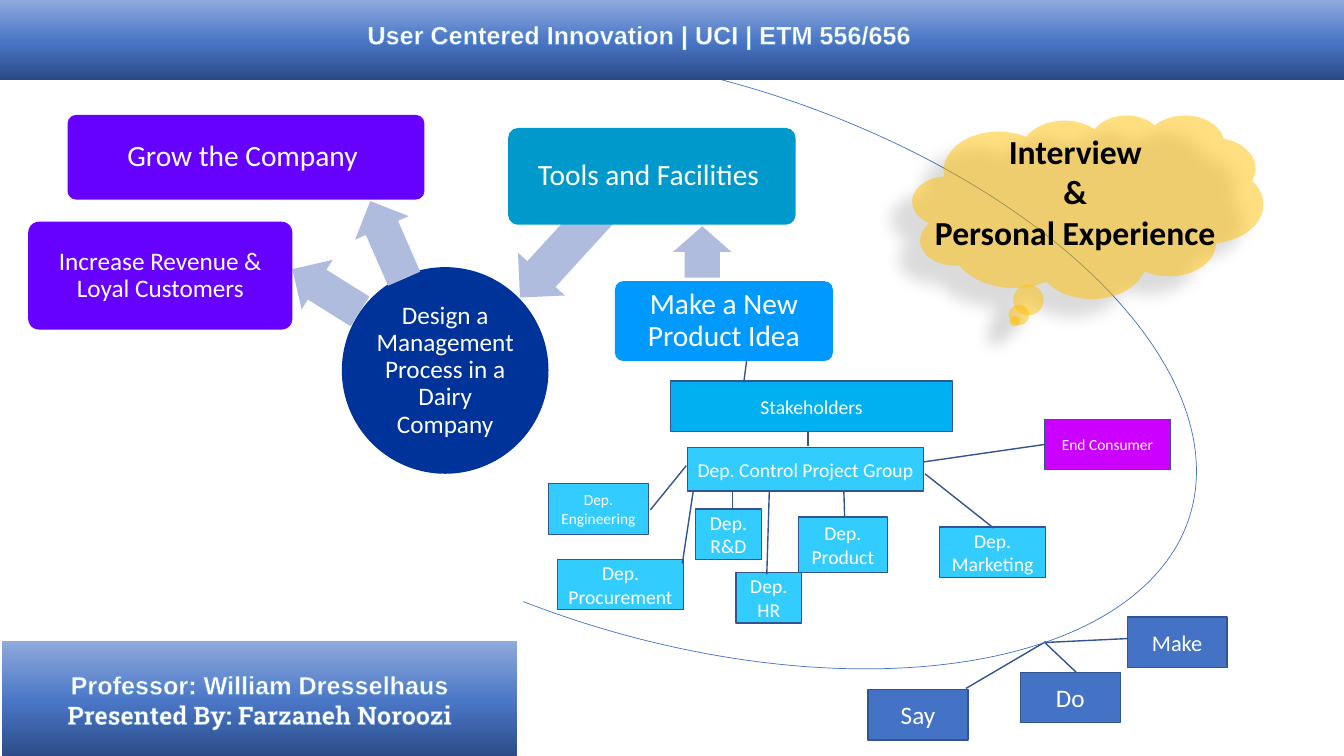
from lxml import etree
from pptx import Presentation
from pptx.dml.color import RGBColor
from pptx.enum.shapes import MSO_SHAPE
from pptx.enum.text import MSO_ANCHOR, MSO_AUTO_SIZE, PP_ALIGN
from pptx.oxml.ns import qn
from pptx.util import Inches, Pt

RECTANGLE, ROUNDED, OVAL = MSO_SHAPE.RECTANGLE, MSO_SHAPE.ROUNDED_RECTANGLE, MSO_SHAPE.OVAL
ARROW, CALLOUT = MSO_SHAPE.LEFT_ARROW, MSO_SHAPE.LINE_CALLOUT_1
ARC, CLOUD = MSO_SHAPE.ARC, MSO_SHAPE.CLOUD_CALLOUT
MIDDLE, TOP, CENTER = MSO_ANCHOR.MIDDLE, MSO_ANCHOR.TOP, PP_ALIGN.CENTER
NO_AUTOFIT = MSO_AUTO_SIZE.NONE

COLORS = {
    "white": "FFFFFF", "black": "000000", "navy": "003399", "violet": "6600FF",
    "arrow": "B0BCDE", "azure": "0099FF", "teal": "0099CC", "sky": "33CCFF",
    "stakeholder": "00B0F0", "blue": "4472C4", "magenta": "CC00FF", "edge": "325491",
    "amber": "FFC000", "outline": "5B9BD5",
}
BAND_STOPS = {0: "2A4B86", 48000: "4A76C6", 100000: "8FAADC"}

deck = Presentation()
deck.slide_width, deck.slide_height = Inches(13.33), Inches(7.5)
page = deck.slides.add_slide(deck.slide_layouts[5])
CELL = deck.slide_height / 75


def add_box(kind, area, fill=None, line=None, weight=1, adjust=(), turn=0):
    box = page.shapes.add_shape(kind, *(round(cells * CELL) for cells in area))
    box.shadow.inherit = False
    box.rotation = turn
    for index, value in enumerate(adjust):
        box.adjustments[index] = value
    if fill:
        box.fill.solid()
        box.fill.fore_color.rgb = RGBColor.from_string(COLORS[fill])
    else:
        box.fill.background()
    if line:
        box.line.color.rgb = RGBColor.from_string(COLORS[line])
        box.line.width = Pt(weight)
    else:
        box.line.fill.background()
    return box


def write(box, text, size, font="Calibri", color="white", bold=False, anchor=MIDDLE,
          spacing=None, inset=None, outline=None):
    frame = box.text_frame
    frame.word_wrap = True
    frame.auto_size = NO_AUTOFIT
    frame.vertical_anchor = anchor
    if inset is not None:
        frame.margin_left = frame.margin_right = Inches(inset)
        frame.margin_top = frame.margin_bottom = Inches(inset)
    for index, words in enumerate(text.split("\n")):
        para = frame.add_paragraph() if index else frame.paragraphs[0]
        para.alignment = CENTER
        para.line_spacing = spacing
        span = para.add_run()
        span.text = words
        span.font.name, span.font.size, span.font.bold = font, Pt(size), bold
        span.font.color.rgb = RGBColor.from_string(COLORS[color])
        if outline:
            edge = etree.Element(qn("a:ln"), w=str(Pt(0.8)))
            paint = etree.SubElement(edge, qn("a:solidFill"))
            etree.SubElement(paint, qn("a:srgbClr"), val=COLORS[outline])
            span.font._element.insert(0, edge)


arrows = [
    ((28.4, 25.9, 7.9, 5.8), 32),
    ((34.2, 20.9, 8.4, 5.8), 66.4),
    ((67.1, 22.1, 5.1, 5.8), 90),
    ((49.3, 21.2, 14, 6.3), 312.4),
]
process = add_box(OVAL, (33.9, 26.5, 20.5, 20.5), "navy")
write(process, "Design a Management Process in a Dairy Company", 18, spacing=0.9, inset=0.01)
for area, turn in arrows:
    add_box(ARROW, area, "arrow", adjust=(0.6, 0.5), turn=turn)

goals = [
    ("Increase Revenue & Loyal Customers", (2.8, 22, 26.2, 10.7), "violet", 18),
    ("Grow the Company ", (6.7, 11.4, 35.4, 8.4), "violet", 21),
    ("Make a New Product Idea", (61, 27.9, 21.6, 7.9), "azure", 21),
    ("Tools and Facilities ", (50.4, 12.7, 28.5, 9.6), "teal", 21),
]
for words, area, fill, size in goals:
    write(add_box(ROUNDED, area, fill, adjust=(0.1,)), words, size, spacing=0.9, inset=0.04)

callouts = [
    ("Dep. Engineering", (54.4, 48, 9.9, 5), "sky", 11, (0.52, 1.02, -0.36, 1.38)),
    ("Dep.\nMarketing", (93.2, 52.3, 10.5, 5), "sky", 14, (0.02, 0.51, -1.06, -0.14)),
    ("Dep. Product", (79.2, 51.3, 8.8, 5.5), "sky", 14, (0.02, 0.52, -0.52, 0.51)),
    ("Dep. Procurement", (55.3, 55.5, 12.5, 5), "sky", 14, (0.08, 0.99, -1.41, 1.08)),
    ("Dep. R&D", (69, 50.5, 6.5, 5), "sky", 14, (0, 0.56, -0.41, 0.56)),
    ("Dep. HR", (73, 56.8, 6.5, 5), "sky", 14, (0.04, 0.47, -1.71, 0.51)),
    ("Do", (101.2, 66.7, 9.9, 5), "blue", 18, (0, 0.56, -0.6, 0.24)),
    ("Make", (111.8, 61.2, 9.9, 5), "blue", 16, (0.43, 0.01, 0.51, -0.83)),
    ("Say", (86.1, 68.4, 9.9, 5), "blue", 18, (-0.02, 0.98, -0.95, 1.78)),
    ("End Consumer", (103.6, 41.6, 12.5, 5), "magenta", 11, (0.5, 0, 0.85, -0.97)),
    ("Dep. Control Project Group", (68.2, 44.4, 23.4, 4.3), "sky", 14, (-0.03, 0.51, -0.36, 0.51)),
    ("Stakeholders", (66.5, 37.8, 28, 5), "stakeholder", 14, (0.02, 0.26, -0.41, 0.27)),
]
for words, area, fill, size, leader in callouts:
    write(add_box(CALLOUT, area, fill, "edge", adjust=leader), words, size)

add_box(ARC, (39.3, -17.7, 55.6, 106.5), line="blue", weight=0.5, adjust=(94.35, 9.11), turn=107)

header = add_box(RECTANGLE, (0, 0, 133.3, 7.9))
credits = add_box(RECTANGLE, (0.2, 63.6, 51.1, 11.6))
for band in (header, credits):
    band.fill.gradient()
    band.fill.gradient_angle = 90
    stops = band._element.spPr.find(".//" + qn("a:gsLst"))
    for stop in list(stops):
        stops.remove(stop)
    for position, shade in BAND_STOPS.items():
        stop = etree.SubElement(stops, qn("a:gs"), pos=str(position))
        etree.SubElement(stop, qn("a:srgbClr"), val=shade)

title = page.shapes.title
title.left, title.top, title.width, title.height = (
    round(cells * CELL) for cells in (34.3, 1.4, 58.2, 4))
page.shapes._spTree.append(title._element)
write(title, "User Centered Innovation | UCI | ETM 556/656", 18, font="Arial", bold=True,
      anchor=TOP, outline="outline")
write(credits, "Professor: William Dresselhaus\nPresented By: Farzaneh Noroozi", 18,
      font="Arial", bold=True, outline="outline")
credits.text_frame.paragraphs[1].runs[0].font.name = "Roboto Slab"

cloud = add_box(CLOUD, (90.5, 11.4, 34.8, 18.2), "amber")
cloud_parts = cloud._element.spPr
etree.SubElement(cloud_parts.find(".//" + qn("a:srgbClr")), qn("a:alpha"), val="50000")
shadow = etree.SubElement(cloud_parts.find(qn("a:effectLst")), qn("a:outerShdw"),
                          blurRad=str(Pt(11.8)), dist=str(Pt(19.7)), dir=str(141 * 60000))
shadow_color = etree.SubElement(shadow, qn("a:srgbClr"), val=COLORS["black"])
etree.SubElement(shadow_color, qn("a:alpha"), val="28000")

sources = page.shapes.add_textbox(*(round(cells * CELL) for cells in (91.6, 12.5, 30.1, 13.1)))
write(sources, "Interview\n&\nPersonal Experience ", 24, color="black", bold=True, anchor=TOP)

deck.save("out.pptx")
